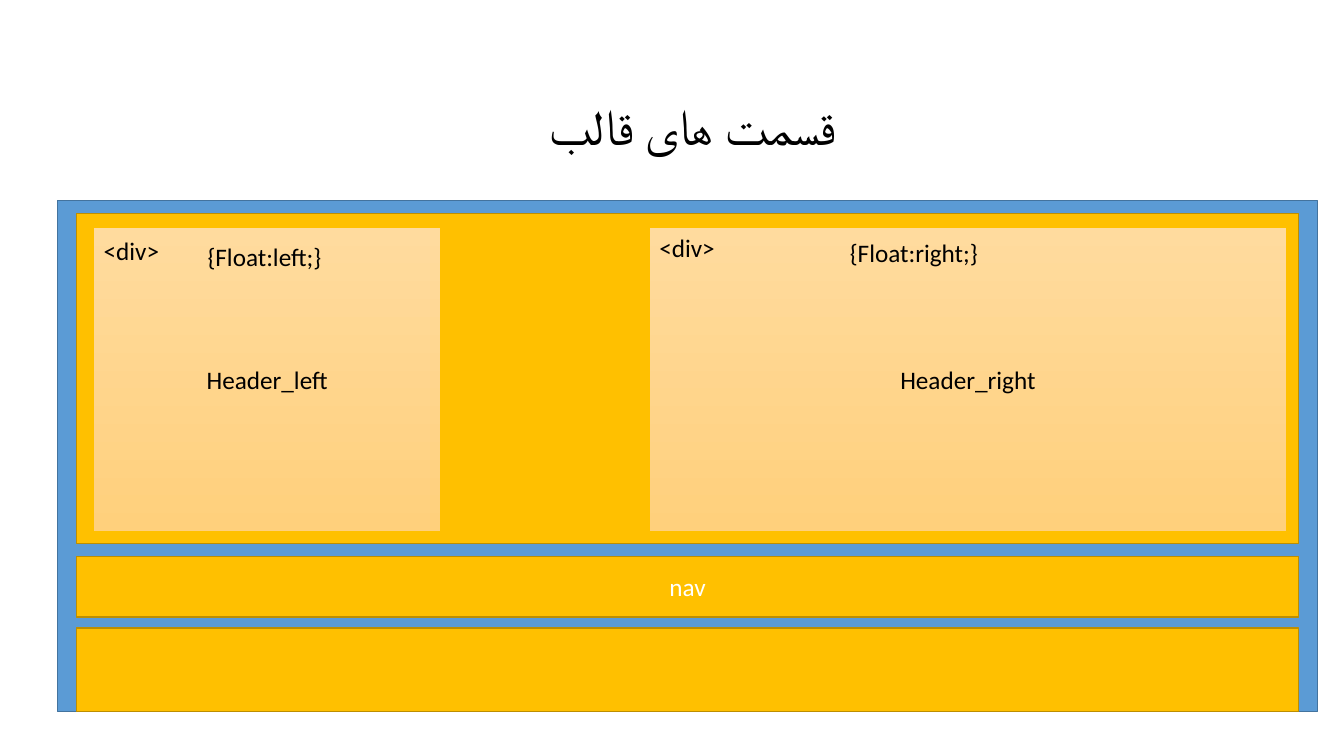
from dataclasses import dataclass

from pptx import Presentation
from pptx.dml.color import RGBColor
from pptx.enum.shapes import MSO_SHAPE
from pptx.enum.text import MSO_ANCHOR, MSO_AUTO_SIZE, PP_ALIGN
from pptx.util import Inches, Pt

RECTANGLE = MSO_SHAPE.RECTANGLE
MIDDLE = MSO_ANCHOR.MIDDLE
GROW = MSO_AUTO_SIZE.SHAPE_TO_FIT_TEXT
CENTER = PP_ALIGN.CENTER
LEFT = PP_ALIGN.LEFT
BLANK_LAYOUT = 6


@dataclass(frozen=True)
class Theme:
    """Colours, font and type sizes of the slide."""

    font: str = "Calibri"
    title_size: int = 36
    body_size: int = 18
    dark: str = "000000"
    light: str = "FFFFFF"
    page: str = "5B9BD5"
    page_line: str = "43739E"
    section: str = "FFC000"
    section_line: str = "BD8E00"
    panel_top: str = "FFDB9E"
    panel_bottom: str = "FFD07C"


THEME = Theme()


def color(value):
    """Turn a hex string into a colour."""
    return RGBColor.from_string(value)


def write(shape, text, size, text_color, alignment):
    """Write one styled paragraph into a shape and return it."""
    shape.text_frame.word_wrap = True
    paragraph = shape.text_frame.paragraphs[0]
    paragraph.text = text
    paragraph.alignment = alignment
    paragraph.font.name = THEME.font
    paragraph.font.size = Pt(size)
    paragraph.font.color.rgb = color(text_color)
    return paragraph


def add_box(slide, box, line_color, line_width, text="", text_color=THEME.dark):
    """Add an outlined rectangle with an optional centred label."""
    shape = slide.shapes.add_shape(RECTANGLE, *map(Inches, box))
    shape.shadow.inherit = False
    shape.line.color.rgb = color(line_color)
    shape.line.width = Pt(line_width)
    if text:
        shape.text_frame.vertical_anchor = MIDDLE
        write(shape, text, THEME.body_size, text_color, CENTER)
    return shape


def add_section(slide, box, fill, line_color, text=""):
    """Add a solid page section."""
    shape = add_box(slide, box, line_color, 1, text, THEME.light)
    shape.fill.solid()
    shape.fill.fore_color.rgb = color(fill)


def add_panel(slide, box, text):
    """Add a header panel with a vertical gradient."""
    shape = add_box(slide, box, THEME.section, 0.5, text)
    shape.fill.gradient()
    shape.fill.gradient_angle = 270
    stops = shape.fill.gradient_stops
    for stop, value in zip(stops, (THEME.panel_top, THEME.panel_bottom)):
        stop.color.rgb = color(value)


def add_label(slide, box, text, size=THEME.body_size, alignment=LEFT):
    """Add a text box and return its paragraph."""
    shape = slide.shapes.add_textbox(*map(Inches, box))
    paragraph = write(shape, text, size, THEME.dark, alignment)
    shape.text_frame.auto_size = GROW
    return paragraph


def main():
    """Build the page template slide."""
    presentation = Presentation()
    presentation.slide_width = Inches(13.33)
    presentation.slide_height = Inches(7.5)
    slide = presentation.slides.add_slide(presentation.slide_layouts[BLANK_LAYOUT])

    title = add_label(slide, (4.02, 0.89, 5.7, 0.71), "قسمت های قالب",
                      THEME.title_size, CENTER)
    title._p.get_or_add_pPr().set("rtl", "1")

    add_section(slide, (0.57, 1.99, 12.5, 5.07), THEME.page, THEME.page_line)
    for top, height, text in ((2.12, 3.27, ""), (5.52, 0.6, "nav"), (6.23, 0.83, "")):
        add_section(slide, (0.76, top, 12.12, height),
                    THEME.section, THEME.section_line, text)

    for side, left, width, tag_top, rule_left, rule_top in (
        ("left", 0.93, 3.44, 2.29, 1.96, 2.34),
        ("right", 6.44, 6.32, 2.26, 8.33, 2.31),
    ):
        add_panel(slide, (left, 2.26, width, 3.01), f"Header_{side}")
        add_label(slide, (rule_left, rule_top, 2.79, 0.4), f"{{Float:{side};}}")
        add_label(slide, (left, tag_top, 0.85, 0.4), "<div>")

    presentation.save("out.pptx")


if __name__ == "__main__":
    main()
